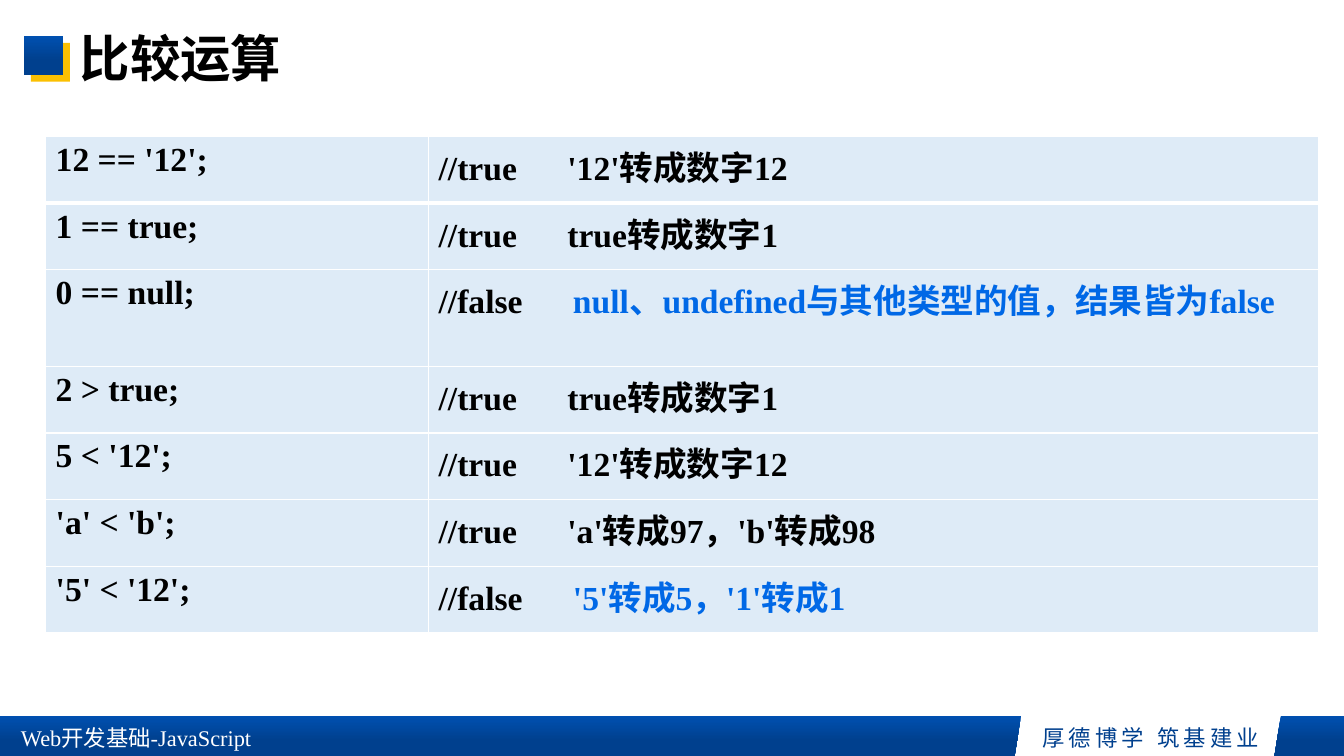
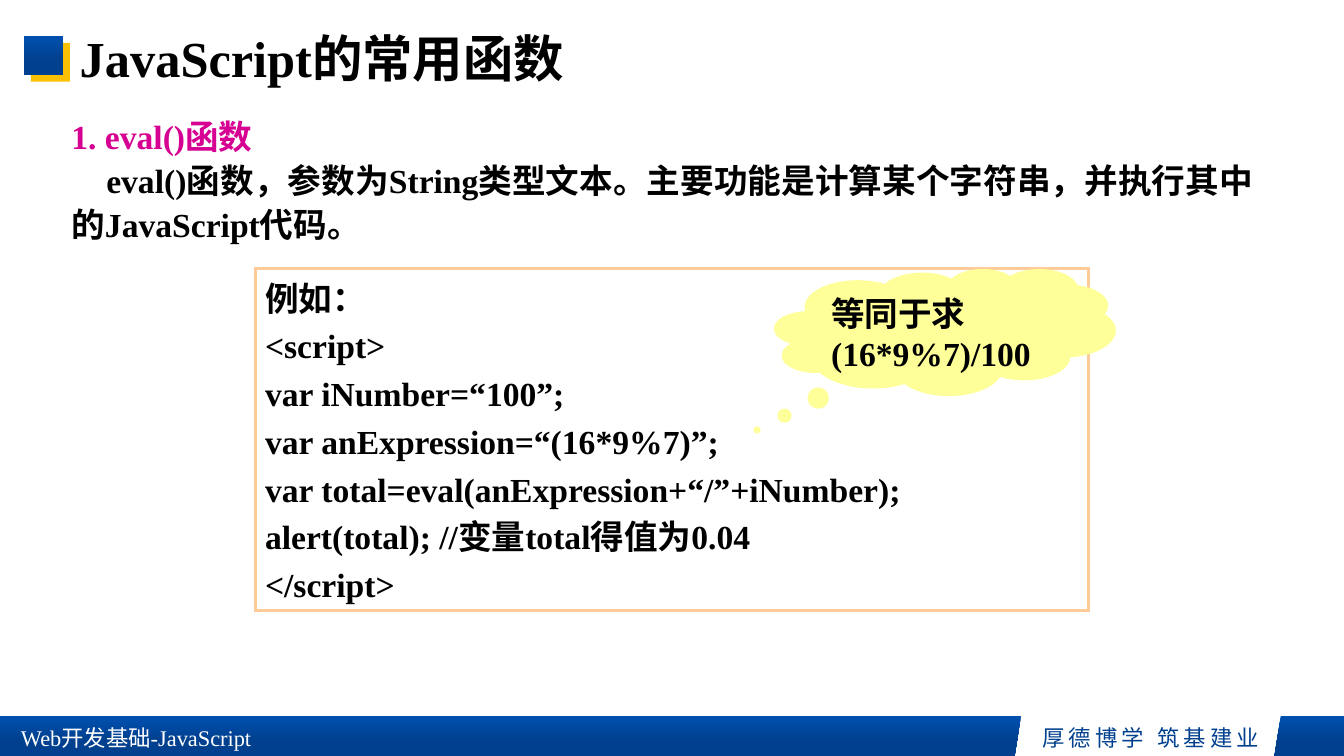
from dataclasses import dataclass

from lxml.etree import SubElement
from pptx import Presentation
from pptx.dml.color import RGBColor
from pptx.enum.shapes import MSO_SHAPE
from pptx.enum.text import MSO_ANCHOR, PP_ALIGN
from pptx.oxml.ns import qn
from pptx.util import Cm, Pt


@dataclass(frozen=True)
class Theme:
    black: str = "000000"
    white: str = "FFFFFF"
    navy: str = "00408E"
    royal: str = "0050B0"
    gold: str = "FBC001"
    cell: str = "DEEBF7"
    accent: str = "0068E6"
    heading: str = "D60093"
    frame: str = "FFCC99"
    cloud: str = "FFFF99"
    title_size: int = 36
    body_size: int = 24
    footer_size: int = 16
    serif: str = "Times New Roman"
    sans: str = "Noto Sans CJK SC"


THEME = Theme()
SLIDE_W, SLIDE_H = 33.87, 19.05

# Content
COURSE = "Web开发基础-JavaScript"
MOTTO = ["厚德博学", "筑基建业"]

COMPARE_TITLE = "比较运算"
# expression, result, explanation, colour of the explanation
COMPARISONS = [
    ("12 == '12';", "//true", "'12'转成数字12", THEME.black),
    ("1 == true;", "//true", "true转成数字1", THEME.black),
    ("0 == null;", "//false", "null、undefined与其他类型的值，结果皆为false", THEME.accent),
    ("2 > true;", "//true", "true转成数字1", THEME.black),
    ("5 < '12';", "//true", "'12'转成数字12", THEME.black),
    ("'a' < 'b';", "//true", "'a'转成97，'b'转成98", THEME.black),
    ("'5' < '12';", "//false", "'5'转成5，'1'转成1", THEME.accent),
]

FUNCTION_TITLE = "JavaScript的常用函数"
EVAL_HEADING = "1. eval()函数"
EVAL_TEXT = "eval()函数，参数为String类型文本。主要功能是计算某个字符串，并执行其中的JavaScript代码。"
EVAL_CODE = [
    "例如：",
    "<script>",
    "var iNumber=“100”;",
    "var anExpression=“(16*9%7)”;",
    "var total=eval(anExpression+“/”+iNumber);",
    "alert(total); //变量total得值为0.04",
    "</script>",
]
EVAL_NOTE = ["等同于求", "(16*9%7)/100"]


# Text
def write(frame, paragraphs, size=THEME.body_size, color=THEME.black, font=THEME.serif,
          bold=True, align=PP_ALIGN.LEFT, anchor=MSO_ANCHOR.TOP, line_spacing=None,
          space_before=0, left=0, indents=(0,), tracking=0):
    """Each paragraph is a string or a list of (text, colour, tracking) runs.

    The last of the indents holds for all further paragraphs.
    """
    frame.word_wrap = True
    frame.vertical_anchor = anchor
    for index, content in enumerate(paragraphs):
        paragraph = frame.add_paragraph() if index else frame.paragraphs[0]
        paragraph.alignment = align
        if line_spacing:
            paragraph.line_spacing = line_spacing
        if index and space_before:
            paragraph.space_before = Pt(space_before)
        properties = paragraph._p.get_or_add_pPr()
        properties.set("marL", str(Cm(left)))
        properties.set("indent", str(Cm(indents[min(index, len(indents) - 1)])))
        runs = [(content, color, tracking)] if isinstance(content, str) else content
        for text, run_color, run_tracking in runs:
            run = paragraph.add_run()
            run.text = text
            run.font.size, run.font.bold, run.font.name = Pt(size), bold, font
            run.font.color.rgb = RGBColor.from_string(run_color)
            run_properties = run._r.get_or_add_rPr()
            SubElement(run_properties, qn("a:ea"), typeface=THEME.sans)
            if run_tracking:
                run_properties.set("spc", str(run_tracking * 100))


def text_box(slide, box, paragraphs, **text_format):
    holder = slide.shapes.add_textbox(*map(Cm, box))
    write(holder.text_frame, paragraphs, **text_format)


# Shapes
def paint(shape, fill=None, line=None):
    shape.shadow.inherit = False
    if fill:
        shape.fill.solid()
        shape.fill.fore_color.rgb = RGBColor.from_string(fill)
    else:
        shape.fill.background()
    if line:
        shape.line.color.rgb = RGBColor.from_string(line)
        shape.line.width = Pt(2)
        outline = shape._element.spPr.find(qn("a:ln"))
        SubElement(outline, qn("a:miter"), lim="800000")
    else:
        shape.line.fill.background()
    return shape


def paint_blue(shape):
    paint(shape)
    shape.fill.gradient()
    shape.fill.gradient_angle = 270
    for stop, position, color in zip(shape.fill.gradient_stops, (0, 0.62),
                                     (THEME.royal, THEME.navy)):
        stop.position = position
        stop.color.rgb = RGBColor.from_string(color)


def add_shape(slide, kind, box, **look):
    return paint(slide.shapes.add_shape(kind, *map(Cm, box)), **look)


# Parts shared by the slides
def add_footer(slide):
    top = 18.04
    left_band = [(0, top), (25.73, top), (25.57, SLIDE_H), (0, SLIDE_H)]
    right_band = [(32.28, top), (SLIDE_W, top), (SLIDE_W, SLIDE_H), (32.12, SLIDE_H)]
    left_points, right_points = (
        [(Cm(x), Cm(y)) for x, y in band] for band in (left_band, right_band))
    builder = slide.shapes.build_freeform(*left_points[0])
    builder.add_line_segments(left_points[1:], close=True)
    builder.move_to(*right_points[0])
    builder.add_line_segments(right_points[1:], close=True)
    paint_blue(builder.convert_to_shape())

    text_top, text_height = 18.12, 0.94
    for index, words in enumerate(MOTTO):
        text_box(slide, (24.64 + 2.9 * index, text_top, 5.82, text_height), [words],
                 size=THEME.footer_size, color=THEME.navy, font=THEME.sans, bold=False,
                 align=PP_ALIGN.CENTER, tracking=3)
    text_box(slide, (0.28, text_top, 7.06, text_height), [COURSE],
             size=THEME.footer_size, color=THEME.white, bold=False)


def new_slide(deck, title):
    slide = deck.slides.add_slide(deck.slide_layouts[6])
    add_footer(slide)
    add_shape(slide, MSO_SHAPE.RECTANGLE, (0.78, 1.08, 0.98, 0.98), fill=THEME.gold)
    paint_blue(add_shape(slide, MSO_SHAPE.RECTANGLE, (0.61, 0.91, 0.98, 0.98)))
    text_box(slide, (1.76, 0.15, 29.21, 2.79), [title], size=THEME.title_size,
             anchor=MSO_ANCHOR.MIDDLE, line_spacing=0.9)
    return slide


# Comparison table
def style_cell(cell, row):
    widths = {"lnL": 1, "lnR": 1, "lnT": 3 if row == 1 else 1, "lnB": 3 if row == 0 else 1}
    properties = cell._tc.get_or_add_tcPr()
    for side, width in widths.items():
        border = SubElement(properties, qn(f"a:{side}"), w=str(Pt(width)))
        SubElement(SubElement(border, qn("a:solidFill")), qn("a:srgbClr"), val=THEME.white)
    cell.fill.solid()
    cell.fill.fore_color.rgb = RGBColor.from_string(THEME.cell)


def add_comparisons(slide):
    column_widths, row_height, wrapped_height = (9.65, 22.43), 1.68, 2.43
    result_gap = 30  # points added to the space after each result
    table = slide.shapes.add_table(
        len(COMPARISONS), len(column_widths), Cm(1.15), Cm(3.44),
        Cm(sum(column_widths)), Cm(row_height * len(COMPARISONS))).table
    for column, width in zip(table.columns, column_widths):
        column.width = Cm(width)
    for row, (expression, result, explanation, color) in enumerate(COMPARISONS):
        wraps = len(explanation) > 25
        table.rows[row].height = Cm(wrapped_height if wraps else row_height)
        expression_cell, result_cell = table.cell(row, 0), table.cell(row, 1)
        write(expression_cell.text_frame, [expression])
        write(result_cell.text_frame, [[(result, THEME.black, 0),
                                        (" ", THEME.black, result_gap),
                                        (explanation, color, 0)]])
        result_cell.margin_right = Cm(0.5)
        for cell in (expression_cell, result_cell):
            style_cell(cell, row)


# The eval() slide
def add_eval(slide):
    text_box(slide, (1.55, 2.69, 30.28, 14.02),
             [[(EVAL_HEADING, THEME.heading, 0)], EVAL_TEXT],
             align=PP_ALIGN.JUSTIFY, line_spacing=1.1, indents=(0, 0.88))
    code = add_shape(slide, MSO_SHAPE.RECTANGLE, (6.43, 6.77, 21.01, 8.61), line=THEME.frame)
    write(code.text_frame, EVAL_CODE, align=PP_ALIGN.JUSTIFY, line_spacing=1.1,
          space_before=2.4, left=1.02, indents=(-1.02,))
    note = add_shape(slide, MSO_SHAPE.CLOUD_CALLOUT, (19.51, 6.77, 8.61, 3.2),
                     fill=THEME.cloud)
    note.adjustments[0], note.adjustments[1] = -0.55, 0.77
    write(note.text_frame, EVAL_NOTE)


def main():
    deck = Presentation()
    deck.slide_width, deck.slide_height = Cm(SLIDE_W), Cm(SLIDE_H)
    add_comparisons(new_slide(deck, COMPARE_TITLE))
    add_eval(new_slide(deck, FUNCTION_TITLE))
    deck.save("out.pptx")


if __name__ == "__main__":
    main()
